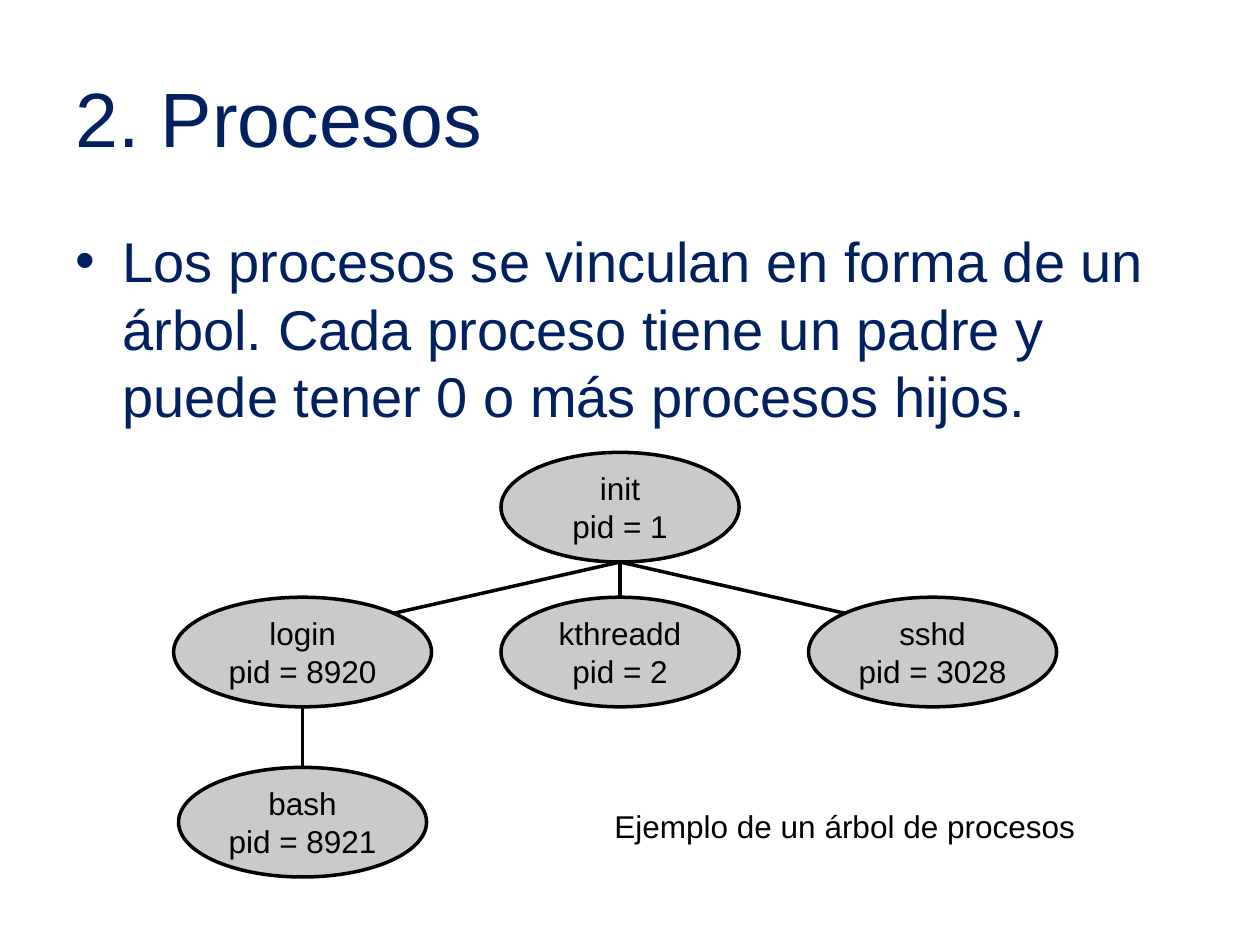
from math import sqrt

from lxml.etree import SubElement
from pptx import Presentation
from pptx.dml.color import RGBColor
from pptx.enum.shapes import MSO_CONNECTOR, MSO_SHAPE
from pptx.enum.text import MSO_ANCHOR, PP_ALIGN
from pptx.oxml.ns import qn
from pptx.util import Cm, Pt

NAVY, BLACK, GREY = "002060", "000000", "A6A6A6"
NODE_HEIGHT = 2.21
COLUMNS = (6.1, 12.5, 18.8)
ROWS = (9.12, 12.04, 15.47)
# name: (pid, column, row, width in cm, parent)
PROCESSES = {
    "init": (1, 1, 0, 4.8, None),
    "login": (8920, 0, 1, 5.2, "init"),
    "kthreadd": (2, 1, 1, 4.8, "init"),
    "sshd": (3028, 2, 1, 5.0, "init"),
    "bash": (8921, 0, 2, 5.0, "login"),
}


def paint(color_format, color):
    """Set a font, fill or line colour from a hex string."""
    color_format.rgb = RGBColor.from_string(color)


def write(frame, text, size, color, align=PP_ALIGN.LEFT):
    """Fill a text frame with one paragraph and return it."""
    frame.text = text
    paragraph = frame.paragraphs[0]
    paragraph.alignment = align
    paragraph.font.name = "Arial"
    paragraph.font.size = Pt(size)
    paint(paragraph.font.color, color)
    return paragraph


def add_text(slide, box, text, size, color, wrap=True, anchor=MSO_ANCHOR.TOP,
             align=PP_ALIGN.LEFT):
    """Add a text box, placed in cm, and return its paragraph."""
    frame = slide.shapes.add_textbox(*map(Cm, box)).text_frame
    frame.word_wrap = wrap
    frame.vertical_anchor = anchor
    return write(frame, text, size, color, align)


def add_bullet(paragraph, indent):
    """Give a paragraph a round bullet with a hanging indent in cm."""
    properties = paragraph._p.get_or_add_pPr()
    properties.set("marL", str(Cm(indent)))
    properties.set("indent", str(-Cm(indent)))
    SubElement(properties, qn("a:buFont"), typeface="Arial")
    SubElement(properties, qn("a:buChar"), char="•")


def add_process(slide, name):
    """Draw a process as a translucent ellipse with its name and pid."""
    pid, column, row, width, _ = PROCESSES[name]
    node = slide.shapes.add_shape(
        MSO_SHAPE.OVAL, Cm(COLUMNS[column] - width / 2), Cm(ROWS[row]),
        Cm(width), Cm(NODE_HEIGHT))
    node.shadow.inherit = False
    node.fill.solid()
    paint(node.fill.fore_color, GREY)
    fill_color = node.fill._xPr.find(qn("a:solidFill"))[0]
    SubElement(fill_color, qn("a:alpha"), val="59000")
    paint(node.line.color, BLACK)
    node.line.width = Pt(2)
    node.text_frame.vertical_anchor = MSO_ANCHOR.MIDDLE
    write(node.text_frame, f"{name}\vpid = {pid}", 18, BLACK, PP_ALIGN.CENTER)


def add_branch(slide, name):
    """Link a process to the bottom of its parent, from the nearest side."""
    _, column, row, width, parent = PROCESSES[name]
    _, parent_column, parent_row, _, _ = PROCESSES[parent]
    x, y = COLUMNS[column], ROWS[row]
    side = (parent_column > column) - (parent_column < column)
    if side:
        x += side * width / 2 / sqrt(2)
        y += NODE_HEIGHT / 2 * (1 - 1 / sqrt(2))
    branch = slide.shapes.add_connector(
        MSO_CONNECTOR.STRAIGHT, Cm(COLUMNS[parent_column]),
        Cm(ROWS[parent_row] + NODE_HEIGHT), Cm(x), Cm(y))
    paint(branch.line.color, BLACK)
    branch.line.width = Pt(2)
    SubElement(branch._element.spPr, qn("a:effectLst"))


def main():
    """Build the slide about the process tree."""
    deck = Presentation()
    deck.slide_width, deck.slide_height = Cm(25.4), Cm(19.05)
    slide = deck.slides.add_slide(deck.slide_layouts[6])

    add_text(slide, (1.27, 0.76, 22.86, 3.18), "2. Procesos", 44, NAVY,
             anchor=MSO_ANCHOR.MIDDLE)
    statement = add_text(
        slide, (1.27, 4.45, 22.86, 12.57),
        "Los procesos se vinculan en forma de un árbol. Cada proceso tiene "
        "un padre y puede tener 0 o más procesos hijos.", 32, NAVY)
    statement.space_before = Pt(6.4)
    add_bullet(statement, 0.95)

    for name in PROCESSES:
        add_process(slide, name)
    for name, (*_, parent) in PROCESSES.items():
        if parent:
            add_branch(slide, name)

    add_text(slide, (12.09, 16.15, 9.88, 1.02),
             "Ejemplo de un árbol de procesos", 18, BLACK, wrap=False,
             align=PP_ALIGN.CENTER)
    deck.save("out.pptx")


main()
